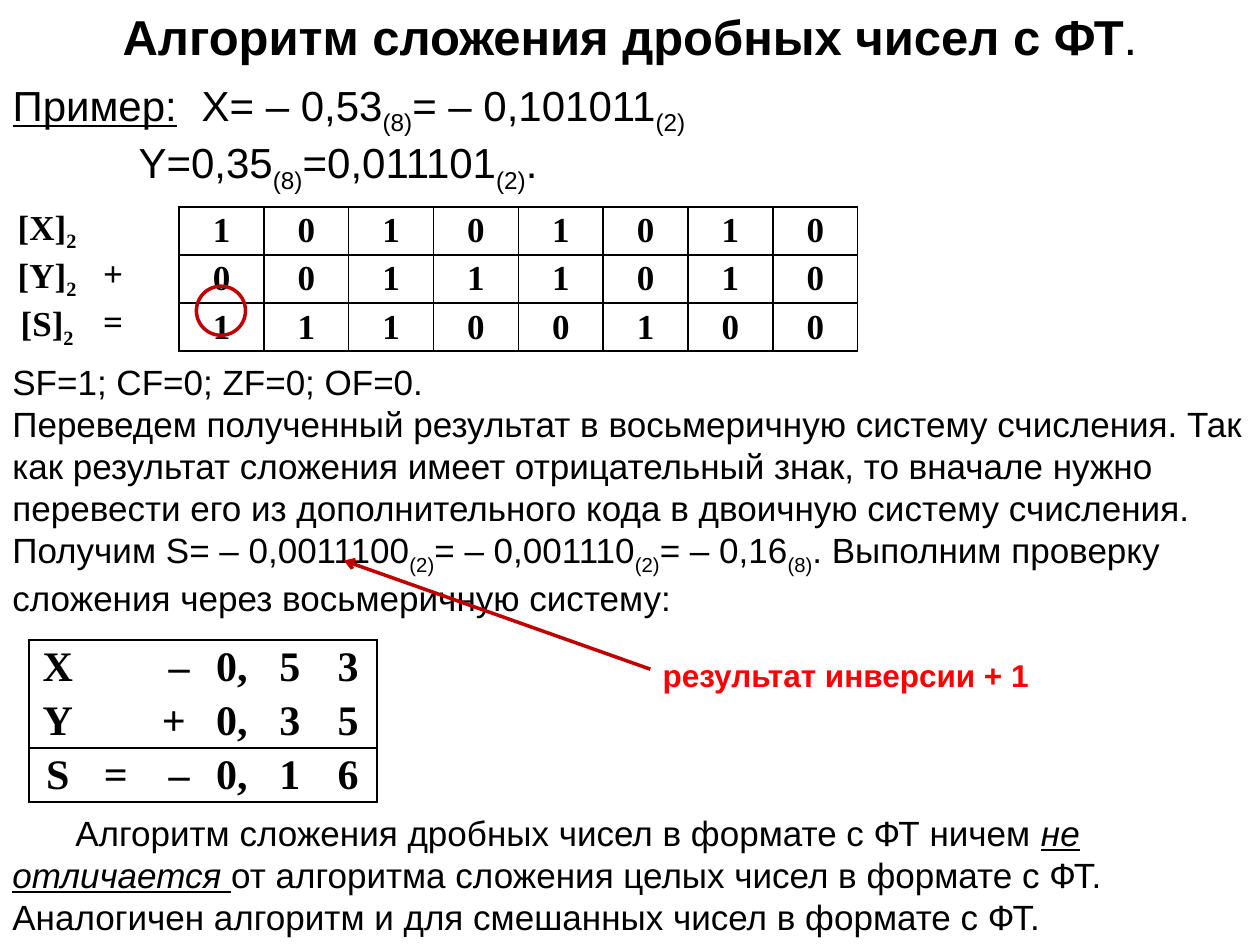
"""Build the slide on adding fractional fixed-point numbers."""
from dataclasses import dataclass, field

from lxml import etree
from pptx import Presentation
from pptx import util as u
from pptx.dml import color
from pptx.enum import shapes, text
from pptx.oxml import ns

BLACK, DARK, RED = "000000", "C00000", "FF0000"
LEFT, MID = text.PP_ALIGN.LEFT, text.PP_ALIGN.CENTER
TOP, CORE = text.MSO_ANCHOR.TOP, text.MSO_ANCHOR.MIDDLE


@dataclass
class Run:
    text: str
    form: dict = field(default_factory=dict)
    sub: bool = False


@dataclass
class Para:
    runs: list[Run]
    align: int = LEFT
    after: float = 0
    indent: float = 0
    tabs: tuple = ()


@dataclass
class Grid:
    left: float
    top: float
    widths: list[float]
    height: float
    size: int
    rows: list[list[str]]


def rgb(code: str) -> color.RGBColor:
    """Turn a hex string into a colour."""
    return color.RGBColor.from_string(code)


def add(node, tag: str, **attrs: str):
    """Append a drawing element with its attributes."""
    return etree.SubElement(node, ns.qn(f"a:{tag}"), attrs)


def split(line: str, **form) -> list[Run]:
    """Make runs of a line in which bars enclose the subscripts."""
    parts = line.split("|")
    return [Run(t, form, i % 2 == 1) for i, t in enumerate(parts) if t]


def write(frame, paras: list[Para], base: dict, wrap: bool = True) -> None:
    """Fill a text frame with formatted paragraphs."""
    frame.word_wrap = wrap
    for i, para in enumerate(paras):
        p = frame.paragraphs[0] if i == 0 else frame.add_paragraph()
        look = {"alignment": para.align, "space_before": u.Pt(0),
                "space_after": u.Pt(para.after)}
        for key, val in look.items():
            setattr(p, key, val)
        props = p._p.get_or_add_pPr()
        props.set("marL", "0")
        props.set("indent", str(u.Cm(para.indent)))
        add(props, "buNone")
        if para.tabs:
            stops = add(props, "tabLst")
            for pos in para.tabs:
                add(stops, "tab", pos=str(u.Cm(pos)), algn="l")
        for item in para.runs:
            run = p.add_run()
            run.text = item.text
            form = {"name": "Arial", **base, **item.form}
            tint = form.pop("tint", BLACK)
            form["size"] = u.Pt(form["size"])
            for key, val in form.items():
                setattr(run.font, key, val)
            run.font.color.rgb = rgb(tint)
            if item.sub:
                run.font._element.set("baseline", "-25000")


def place(holder, top: float, height: float):
    """Move a placeholder to a full-width band and return its frame."""
    spots = {"left": 0, "top": top, "width": 25.4, "height": height}
    for key, val in spots.items():
        setattr(holder, key, u.Cm(val))
    frame = holder.text_frame
    frame.auto_size = text.MSO_AUTO_SIZE.NONE
    frame.vertical_anchor = TOP
    return frame


def box(slide, *spot: float):
    """Add a text box and return its frame."""
    return slide.shapes.add_textbox(*map(u.Cm, spot)).text_frame


def edge(cell, sides: str) -> None:
    """Draw the named borders of a cell and hide the rest."""
    props = cell._tc.get_or_add_tcPr()
    for i, side in enumerate("LRTB"):
        line = add(props, f"ln{side}", w=str(u.Pt(1)))
        props.insert(i, line)
        if side in sides:
            add(add(line, "solidFill"), "srgbClr", val=BLACK)
        else:
            add(line, "noFill")


def draw(slide, grid: Grid, sides, place_of) -> None:
    """Add a table; the rules give borders and alignment by row and column."""
    high = u.Cm(grid.height)
    table = slide.shapes.add_table(
        len(grid.rows), len(grid.widths), u.Cm(grid.left), u.Cm(grid.top),
        u.Cm(sum(grid.widths)), high * len(grid.rows)).table
    table.first_row = table.horz_banding = False
    for col, wide in zip(table.columns, grid.widths):
        col.width = u.Cm(wide)
    base = {"name": "Times New Roman", "size": grid.size, "bold": True}
    for r, row in enumerate(grid.rows):
        table.rows[r].height = high
        for c, line in enumerate(row):
            cell = table.cell(r, c)
            align, anchor = place_of(c)
            form = {"margin_left": u.Cm(0.18), "margin_right": u.Cm(0.18),
                    "margin_top": 0, "margin_bottom": 0,
                    "vertical_anchor": anchor}
            for key, val in form.items():
                setattr(cell, key, val)
            cell.fill.background()
            edge(cell, sides(r, c))
            if line:
                write(cell.text_frame, [Para(split(line), align, 3)], base)


def code_sides(r: int, c: int) -> str:
    """Frame the bits and leave the labels open."""
    return ("", "R")[c] if c < 2 else "LRTB"


def sum_sides(r: int, c: int) -> str:
    """Frame the sum and rule off its result."""
    return ("T", "B", "TB")[r] + {0: "L", 5: "R"}.get(c, "")


def main() -> None:
    """Build and save the slide."""
    deck = Presentation()
    deck.slide_width, deck.slide_height = u.Cm(25.4), u.Cm(19.05)
    slide = deck.slides.add_slide(deck.slide_layouts[1])
    head, body = slide.placeholders
    write(place(head, 0, 1.42), [Para([
        Run("Алгоритм сложения дробных чисел с ФТ", {"bold": True}),
        Run(".", {"bold": False})], MID)], {"size": 28})
    tabs = (2.54, 5.08)
    write(place(body, 1.47, 2.47), [
        Para([Run("Пример:", {"underline": True}),
              *split(" \tX= – 0,53|(8)|= – 0,101011|(2)|")], tabs=tabs),
        Para(split("\t\tY=0,35|(8)|=0,011101|(2)|."), tabs=tabs),
    ], {"size": 24})

    codes = Grid(0, 4.17, [1.9] + [1.71] * 9, 0.97, 20, [
        ["[X]|2|", "", *"10101010"],
        ["[Y]|2|", "+", *"00111010"],
        ["[S]|2|", "=", *"11100100"]])
    draw(slide, codes, code_sides,
         lambda c: (LEFT, TOP) if c == 1 else (MID, CORE))
    write(box(slide, 0, 7.14, 25.4, 5.38), [
        Para(split("SF=1; СF=0; ZF=0; OF=0.")),
        Para(split(
            "Переведем полученный результат в восьмеричную систему счисления. "
            "Так как результат сложения имеет отрицательный знак, то вначале "
            "нужно перевести его из дополнительного кода в двоичную систему "
            "счисления. Получим S= – 0,0011100|(2)|= – 0,001110|(2)|= – 0,16"
            "|(8)|. Выполним проверку сложения через восьмеричную систему:")),
    ], {"size": 20})
    check = Grid(0.58, 12.9, [1.17] * 6, 1.09, 24, [
        ["X", "", " – ", "0,", "5", "3"],
        ["Y", "", "+", "0,", "3", "5"],
        ["S", "=", " – ", "0,", "1", "6"]])
    draw(slide, check, sum_sides, lambda c: (MID, CORE))
    write(box(slide, 0, 16.23, 25.4, 2.82), [Para([
        Run("Алгоритм сложения дробных чисел в формате с ФТ ничем "),
        Run("не отличается ", {"italic": True, "underline": True}),
        Run("от алгоритма сложения целых чисел в формате с ФТ. "
            "Аналогичен алгоритм и для смешанных чисел в формате с ФТ."),
    ], indent=1.27)], {"size": 20})

    arrow = slide.shapes.add_connector(
        shapes.MSO_CONNECTOR.STRAIGHT, *map(u.Cm, (13.11, 13.49, 6.93, 11.3)))
    write(box(slide, 13.11, 13.11, 7.95, 1.02),
          [Para(split("результат инверсии + 1"))],
          {"size": 18, "bold": True, "tint": RED}, wrap=False)
    ring = slide.shapes.add_shape(
        shapes.MSO_SHAPE.OVAL, *map(u.Cm, (3.96, 5.77, 0.99, 0.99)))
    ring.fill.background()
    ring.shadow.inherit = False
    for mark in (arrow, ring):
        mark.line.color.rgb = rgb(DARK)
        mark.line.width = u.Pt(2)
    add(arrow.line._get_or_add_ln(), "tailEnd", type="arrow")
    add(arrow._element.spPr, "effectLst")
    deck.save("out.pptx")


if __name__ == "__main__":
    main()
